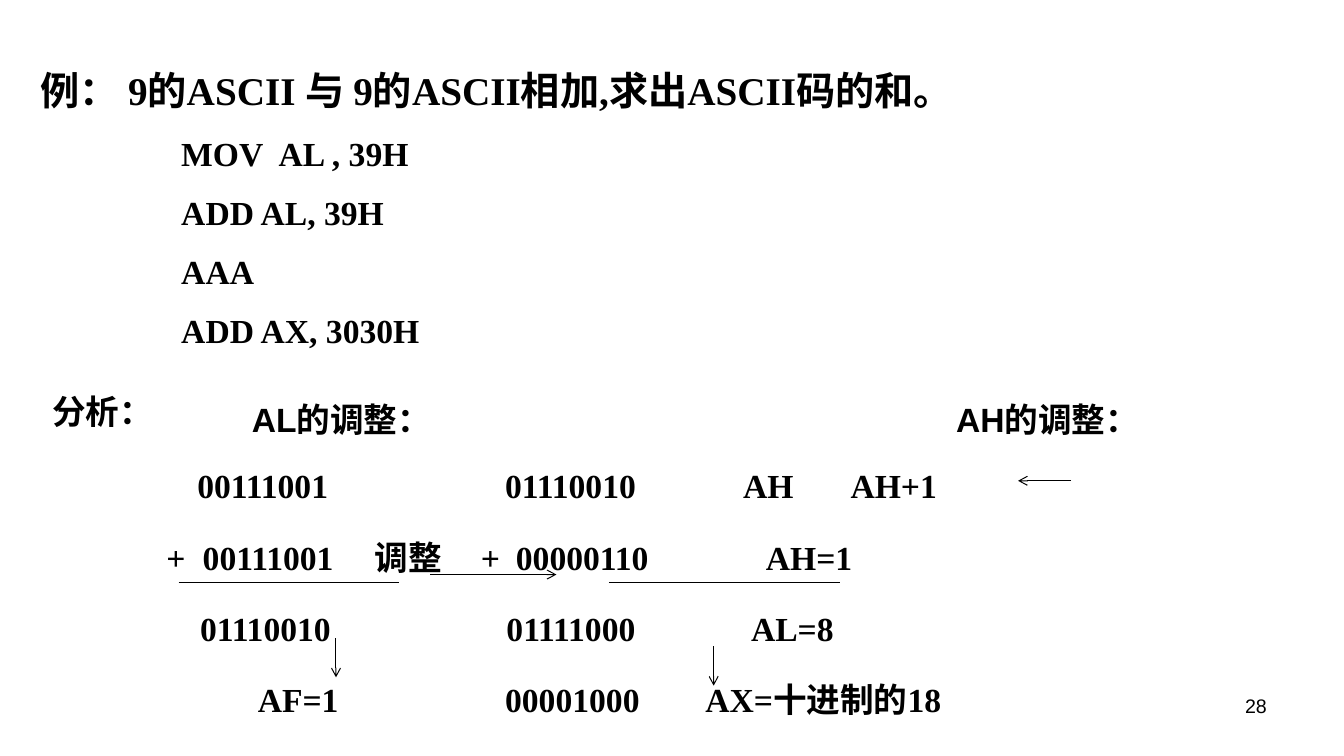
from dataclasses import dataclass

from lxml import etree
from pptx import Presentation
from pptx.dml.color import RGBColor
from pptx.enum.shapes import MSO_CONNECTOR
from pptx.enum.text import PP_ALIGN
from pptx.oxml.ns import qn
from pptx.util import Inches, Pt

LEFT, RIGHT = PP_ALIGN.LEFT, PP_ALIGN.RIGHT
STRAIGHT = MSO_CONNECTOR.STRAIGHT
WIDTH, HEIGHT = Inches(13.33), Inches(7.5)
INSET = Inches(0.1)


@dataclass(frozen=True)
class Theme:
    ink: RGBColor = RGBColor(0, 0, 0)
    serif: str = "Times New Roman"
    sans: str = "Arial"
    title: int = 28
    body: int = 24
    number: int = 14
    rule: float = 0.75
    gap: float = 13.5
    loose: float = 1.3


class Board:
    """Places elements on a grid of 100 columns by 100 rows."""

    def __init__(self, s, theme):
        self.s, self.t = s, theme

    def col(self, n):
        return round(WIDTH * n / 100)

    def row(self, n):
        return round(HEIGHT * n / 100)

    def box(self, x, y, w, h):
        tf = self.s.shapes.add_textbox(
            self.col(x), self.row(y), self.col(w), self.row(h)).text_frame
        tf.word_wrap = True
        return tf

    def run(self, p, text, size, font, bold=True):
        r = p.add_run()
        r.text = text
        r.font.size, r.font.name, r.font.bold = Pt(size), font, bold
        r.font.color.rgb = self.t.ink

    def label(self, x, y, w, h, text, size, bold=True, align=LEFT):
        p = self.box(x, y, w, h).paragraphs[0]
        p.alignment = align
        self.run(p, text, size, self.t.sans, bold)

    def tabbed(self, p, left, cells):
        """Fills a paragraph with (column, text) cells, each at a tab stop."""
        tabs = etree.SubElement(p._p.get_or_add_pPr(), qn("a:tabLst"))
        for x, text in cells:
            pos = self.col(x - left) - INSET
            etree.SubElement(tabs, qn("a:tab"), pos=str(pos), algn="l")
            self.run(p, "\t" + text, self.t.body, self.t.serif)

    def lines(self, tf, left, rows, spacing=1.0):
        for cells in rows:
            p = tf.paragraphs[0]
            if p.runs:
                p = tf.add_paragraph()
            p.line_spacing, p.space_before = spacing, Pt(self.t.gap)
            self.tabbed(p, left, cells)

    def line(self, x1, y1, x2, y2, arrow=False):
        c = self.s.shapes.add_connector(
            STRAIGHT, self.col(x1), self.row(y1), self.col(x2), self.row(y2))
        c.line.color.rgb, c.line.width = self.t.ink, Pt(self.t.rule)
        if arrow:
            etree.SubElement(c.line._get_or_add_ln(), qn("a:tailEnd"), type="arrow")
        etree.SubElement(c._element.spPr, qn("a:effectLst"))


def main():
    prs = Presentation()
    prs.slide_width, prs.slide_height = WIDTH, HEIGHT
    t = Theme()
    b = Board(prs.slides.add_slide(prs.slide_layouts[6]), t)

    # Slide number
    b.label(71.7, 91.1, 23.3, 6.9, "28", t.number, bold=False, align=RIGHT)

    # Task and program
    left, code = 2.3, 13.5
    tf = b.box(left, 6.3, 94.2, 41.9)
    p = tf.paragraphs[0]
    p.line_spacing, p.space_before = t.loose, Pt(t.gap)
    b.run(p, "例： 9的ASCII 与 9的ASCII相加,求出ASCII码的和。", t.title, t.serif)
    b.lines(tf, left, [
        [(code, "MOV"), (20.75, "AL , 39H")],
        [(code, "ADD AL, 39H")],
        [(code, "AAA")],
        [(code, "ADD AX, 3030H")],
    ])

    # Worked addition
    left = 11
    b.lines(b.box(left, 59.3, 83.5, 37.5), left, [
        [(14.7, "00111001"), (37.6, "01110010"), (55.3, "AH"), (63.3, "AH+1")],
        [(12.4, "+"), (15.1, "00111001"), (27.9, "调整"),
         (35.8, "+"), (38.4, "00000110"), (57, "AH=1")],
        [(14.9, "01110010"), (37.7, "01111000"), (55.9, "AL=8")],
        [(19.2, "AF=1"), (37.6, "00001000"), (52.5, "AX=十进制的18")],
    ], t.loose)

    # Headings of the analysis
    for x, y, w, text in [(3.15, 51.1, 11, "分析："),
                          (18, 52.1, 21.9, "AL的调整："),
                          (70.4, 52.1, 21.9, "AH的调整：")]:
        b.label(x, y, w, 6.8, text, t.body)

    # Sum rules
    for x1, x2 in [(13.3, 29.7), (45.3, 62.5)]:
        b.line(x1, 77.1, x2, 77.1)

    # Arrows: adjust, carry into AH, results
    for ends in [(32, 76, 41.4, 76), (79.7, 63.6, 75.75, 63.6),
                 (25, 84.4, 25, 89.6), (53.1, 85.5, 53.1, 90.7)]:
        b.line(*ends, arrow=True)

    prs.save("out.pptx")


if __name__ == "__main__":
    main()
